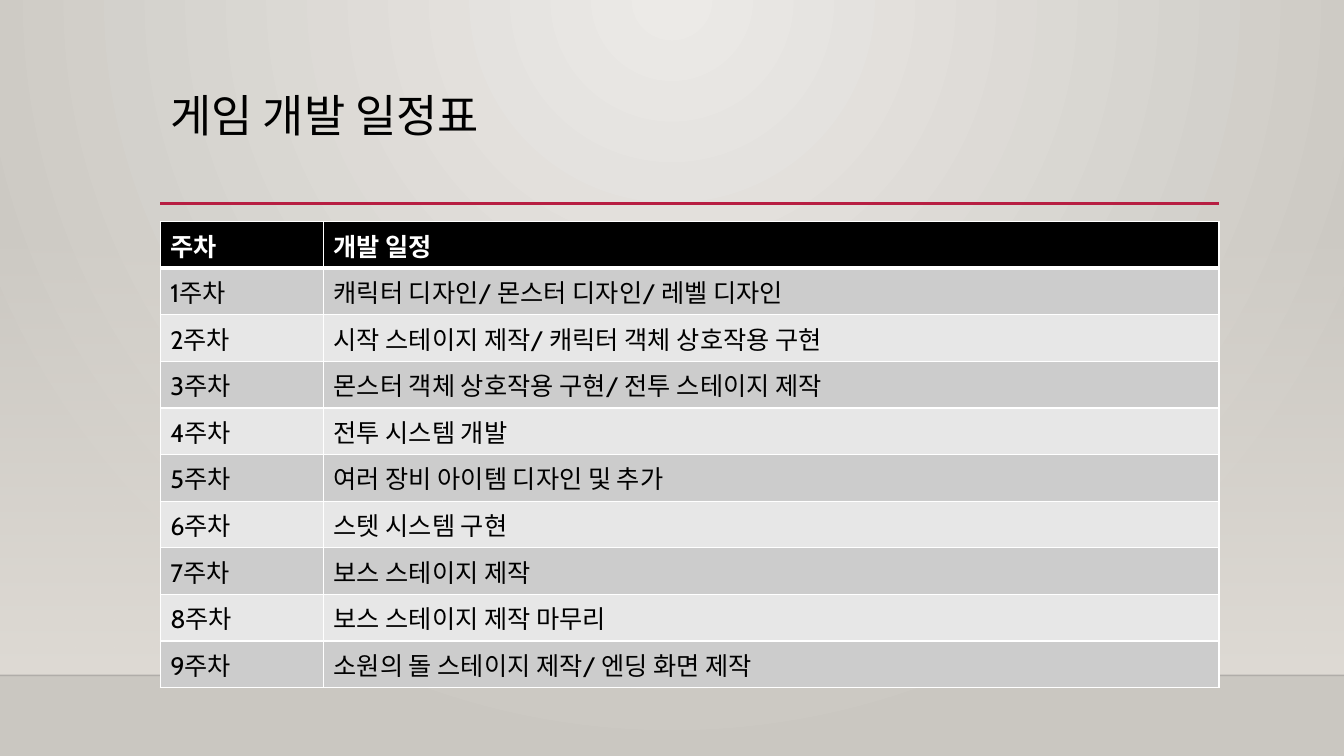
from dataclasses import dataclass

from lxml.etree import SubElement
from pptx import Presentation
from pptx.dml.color import RGBColor
from pptx.dml.fill import FillFormat
from pptx.enum.shapes import MSO_CONNECTOR, MSO_SHAPE
from pptx.enum.text import MSO_ANCHOR, PP_ALIGN
from pptx.oxml.ns import qn
from pptx.slide import Slide
from pptx.table import _Cell
from pptx.text.text import _Paragraph
from pptx.util import Inches, Length, Pt


@dataclass(frozen=True)
class Theme:
    font: str = "Cabin"
    title_size: int = 32
    table_size: int = 18
    ink: str = "000000"
    white: str = "FFFFFF"
    accent: str = "B71E42"
    horizon: str = "000001"
    wall: str = "DFDBD5"
    glow: tuple[str, str] = ("ECEAE7", "CAC7C1")
    bands: tuple[str, str] = ("CCCCCC", "E7E7E7")


@dataclass(frozen=True)
class Rule:
    """A horizontal line; places are percentages of the slide's size."""
    left: float
    right: float
    level: float
    color: str
    weight: float
    opacity: int = 100


THEME = Theme()
SLIDE_WIDTH, SLIDE_HEIGHT = 13.33, 7.5
LEFT, WIDTH = 11.93, 78.77
WALL_TOP, HORIZON = 29.47, 89.33
TITLE_TOP, TITLE_HEIGHT = 11.73, 15.33
TABLE_TOP, ROW_HEIGHT = 29.33, 5.41
COLUMNS = (12.15, 66.62)

RULES = (
    Rule(0, 100, HORIZON, THEME.horizon, 1, opacity=20),
    Rule(LEFT, LEFT + WIDTH, 26.93, THEME.accent, 2.5),
)
HEADINGS = ("주차", "개발 일정")
WEEKLY_PLANS = (
    "캐릭터 디자인/ 몬스터 디자인/ 레벨 디자인",
    "시작 스테이지 제작/ 캐릭터 객체 상호작용 구현",
    "몬스터 객체 상호작용 구현/ 전투 스테이지 제작",
    "전투 시스템 개발",
    "여러 장비 아이템 디자인 및 추가",
    "스텟 시스템 구현",
    "보스 스테이지 제작",
    "보스 스테이지 제작 마무리",
    "소원의 돌 스테이지 제작/ 엔딩 화면 제작",
)


def across(percent: float) -> Length:
    return Inches(SLIDE_WIDTH * percent / 100)


def down(percent: float) -> Length:
    return Inches(SLIDE_HEIGHT * percent / 100)


def write(para: _Paragraph, text: str, size: int, color: str, bold: bool = False) -> None:
    span = para.add_run()
    span.text = text
    for name, value in {"name": THEME.font, "size": Pt(size), "bold": bold}.items():
        setattr(span.font, name, value)
    span.font.color.rgb = RGBColor.from_string(color)


def set_gradient(fill: FillFormat, colors: tuple[str, str]) -> None:
    fill.gradient()
    for stop, color in zip(fill.gradient_stops, colors):
        stop.color.rgb = RGBColor.from_string(color)


def paint_background(page: Slide) -> None:
    """Spread a circular glow from the middle of the top edge."""
    set_gradient(page.background.fill, THEME.glow)
    gradient = page.element.find(".//" + qn("a:gradFill"))
    gradient.remove(gradient.find(qn("a:lin")))
    circle = SubElement(gradient, qn("a:path"), {"path": "circle"})
    SubElement(circle, qn("a:fillToRect"), {"l": "43000", "t": "0", "r": "43000", "b": "100000"})


def add_wall(page: Slide) -> None:
    """Add a panel that fades in from clear down to the horizon."""
    wall = page.shapes.add_shape(
        MSO_SHAPE.RECTANGLE, 0, down(WALL_TOP), across(100), down(HORIZON - WALL_TOP))
    wall.shadow.inherit = False
    wall.line.fill.background()
    set_gradient(wall.fill, (THEME.wall, THEME.wall))
    wall.fill.gradient_angle = 270
    SubElement(wall.element.find(".//" + qn("a:srgbClr")), qn("a:alpha"), {"val": "0"})


def add_rule(page: Slide, rule: Rule) -> None:
    line = page.shapes.add_connector(
        MSO_CONNECTOR.STRAIGHT,
        across(rule.left), down(rule.level), across(rule.right), down(rule.level))
    line.line.color.rgb = RGBColor.from_string(rule.color)
    line.line.width = Pt(rule.weight)
    if rule.opacity < 100:
        color = line.element.find(".//" + qn("a:srgbClr"))
        SubElement(color, qn("a:alpha"), {"val": str(rule.opacity * 1000)})
    SubElement(line.element.spPr, qn("a:effectLst"))


def set_title(page: Slide, text: str) -> None:
    title = page.shapes.title
    places = {"left": across(LEFT), "top": down(TITLE_TOP),
              "width": across(WIDTH), "height": down(TITLE_HEIGHT)}
    for name, value in places.items():
        setattr(title, name, value)
    title.text_frame.word_wrap = True
    title.text_frame.vertical_anchor = MSO_ANCHOR.TOP
    para = title.text_frame.paragraphs[0]
    para.alignment = PP_ALIGN.LEFT
    para.line_spacing = 0.9
    write(para, text, THEME.title_size, THEME.ink)
    page.shapes.element.append(title.element)


def set_borders(cell: _Cell, top: int, bottom: int) -> None:
    properties = cell._tc.get_or_add_tcPr()
    for side, weight in {"L": 1, "R": 1, "T": top, "B": bottom}.items():
        border = SubElement(properties, qn(f"a:ln{side}"), {"w": str(Pt(weight))})
        solid = SubElement(border, qn("a:solidFill"))
        SubElement(solid, qn("a:srgbClr"), {"val": THEME.white})


def add_schedule(page: Slide) -> None:
    weeks = [(f"{week}주차", plan) for week, plan in enumerate(WEEKLY_PLANS, 1)]
    rows = [HEADINGS, *weeks]
    table = page.shapes.add_table(
        len(rows), len(COLUMNS), across(LEFT), down(TABLE_TOP),
        across(WIDTH), down(ROW_HEIGHT * len(rows))).table
    for column, width in zip(table.columns, COLUMNS):
        column.width = across(width)
    for index, texts in enumerate(rows):
        table.rows[index].height = down(ROW_HEIGHT)
        header = index == 0
        fill = THEME.ink if header else THEME.bands[(index - 1) % 2]
        color = THEME.white if header else THEME.ink
        for cell, text in zip(table.rows[index].cells, texts):
            set_borders(cell, top=3 if index == 1 else 1, bottom=3 if header else 1)
            cell.fill.solid()
            cell.fill.fore_color.rgb = RGBColor.from_string(fill)
            write(cell.text_frame.paragraphs[0], text, THEME.table_size, color, bold=header)


def main() -> None:
    deck = Presentation()
    deck.slide_width, deck.slide_height = across(100), down(100)
    page = deck.slides.add_slide(deck.slide_layouts.get_by_name("Title Only"))
    paint_background(page)
    add_wall(page)
    for rule in RULES:
        add_rule(page, rule)
    set_title(page, "게임 개발 일정표")
    add_schedule(page)
    deck.save("out.pptx")


if __name__ == "__main__":
    main()
